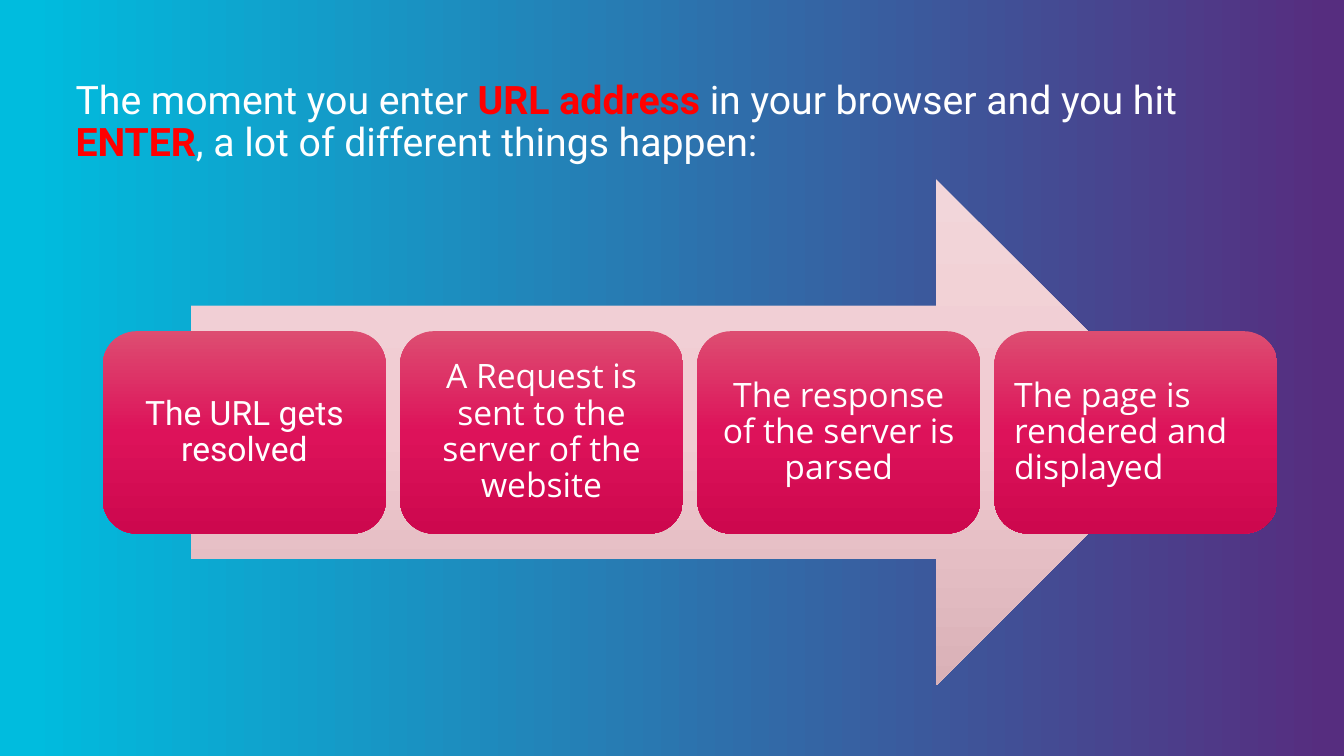
from dataclasses import dataclass

from lxml import etree
from pptx import Presentation
from pptx import util as u
from pptx.dml import color
from pptx.enum import shapes, text
from pptx.oxml import ns


@dataclass(frozen=True)
class Theme:
    white: str = "FFFFFF"
    red: str = "FF0000"
    back: tuple = ((1, "562D7F"), (98, "00BCDE"))
    arrow: tuple = ((0, "F2D6DA"), (50, "F1CBD1"), (100, "D9B1B7"))
    card: tuple = ((0, "DD4D71"), (50, "DD125A"), (100, "CD084E"))
    head: str = "Roboto"
    body: str = "Open Sans"
    big: int = 28
    mid: int = 24


THEME = Theme()
TITLE = (
    ("The moment you enter ", False),
    ("URL address ", True),
    ("in your browser and you hit ", False),
    ("ENTER", True),
    (", a lot of different things happen:", False),
)
STEPS = (
    ("The URL gets resolved", THEME.head, text.PP_ALIGN.CENTER),
    ("A Request is sent to the server of the website", THEME.body, text.PP_ALIGN.CENTER),
    ("The response of the server is parsed", THEME.body, text.PP_ALIGN.CENTER),
    ("The page is rendered and displayed", THEME.body, text.PP_ALIGN.LEFT),
)


def blend(fill, owner, stops, angle):
    """Fill with a linear gradient of any number of stops."""
    fill.gradient()
    fill.gradient_angle = angle
    group = next(owner.iter(ns.qn("a:gsLst")))
    for old in list(group):
        group.remove(old)
    for pos, tone in stops:
        stop = etree.SubElement(group, ns.qn("a:gs"), pos=str(pos * 1000))
        etree.SubElement(stop, ns.qn("a:srgbClr"), val=tone)


def style(font, name, size, tone):
    font.name, font.size = name, u.Pt(size)
    font.color.rgb = color.RGBColor.from_string(tone)


def inset(frame, left, top, right, bottom):
    frame.margin_left, frame.margin_top = u.Inches(left), u.Inches(top)
    frame.margin_right, frame.margin_bottom = u.Inches(right), u.Inches(bottom)
    frame.word_wrap = True


def block(slide, kind, box, stops):
    """Add a borderless shape shaded from top to bottom."""
    shape = slide.shapes.add_shape(kind, *map(u.Inches, box))
    shape.shadow.inherit = False
    shape.line.fill.background()
    blend(shape.fill, shape._element, stops, 270)
    return shape


def heading(slide, box):
    title = slide.shapes.title
    title.left, title.top, title.width, title.height = map(u.Inches, box)
    frame = title.text_frame
    inset(frame, 0, 0.05, 0.1, 0.05)
    frame.auto_size = text.MSO_AUTO_SIZE.NONE
    frame.vertical_anchor = text.MSO_ANCHOR.TOP
    para = frame.paragraphs[0]
    para.alignment, para.line_spacing = text.PP_ALIGN.LEFT, 0.9
    for words, key in TITLE:
        run = para.add_run()
        run.text, run.font.bold = words, key
        style(run.font, THEME.head, THEME.big, THEME.red if key else THEME.white)


def card(slide, box, words, face, align):
    shape = block(slide, shapes.MSO_SHAPE.ROUNDED_RECTANGLE, box, THEME.card)
    frame = shape.text_frame
    inset(frame, 0.1, 0.1, 0.1, 0.1)
    frame.vertical_anchor = text.MSO_ANCHOR.MIDDLE
    para = frame.paragraphs[0]
    para.text, para.alignment, para.line_spacing = words, align, 0.9
    style(para.font, face, THEME.mid, THEME.white)


def process(slide, box):
    """Draw the arrow with a row of equal cards across its middle."""
    left, top, width, height = box
    # Arrow spans 85% of the width
    span = width * 0.85
    block(slide, shapes.MSO_SHAPE.RIGHT_ARROW,
          (left + (width - span) / 2, top, span, height), THEME.arrow)
    # Cards share the full width, at 40% of the height
    gap, tall = 0.14, height * 0.4
    wide = (width - gap * (len(STEPS) - 1)) / len(STEPS)
    for i, step in enumerate(STEPS):
        spot = (left + i * (wide + gap), top + (height - tall) / 2, wide, tall)
        card(slide, spot, *step)


def main():
    deck = Presentation()
    deck.slide_width, deck.slide_height = u.Inches(13.33), u.Inches(7.5)
    slide = deck.slides.add_slide(deck.slide_layouts[5])
    blend(slide.background.fill, slide._element, THEME.back, 180)
    heading(slide, (0.75, 0.75, 11.83, 1.07))
    process(slide, (1.02, 1.78, 11.65, 5.02))
    deck.save("out.pptx")


if __name__ == "__main__":
    main()
